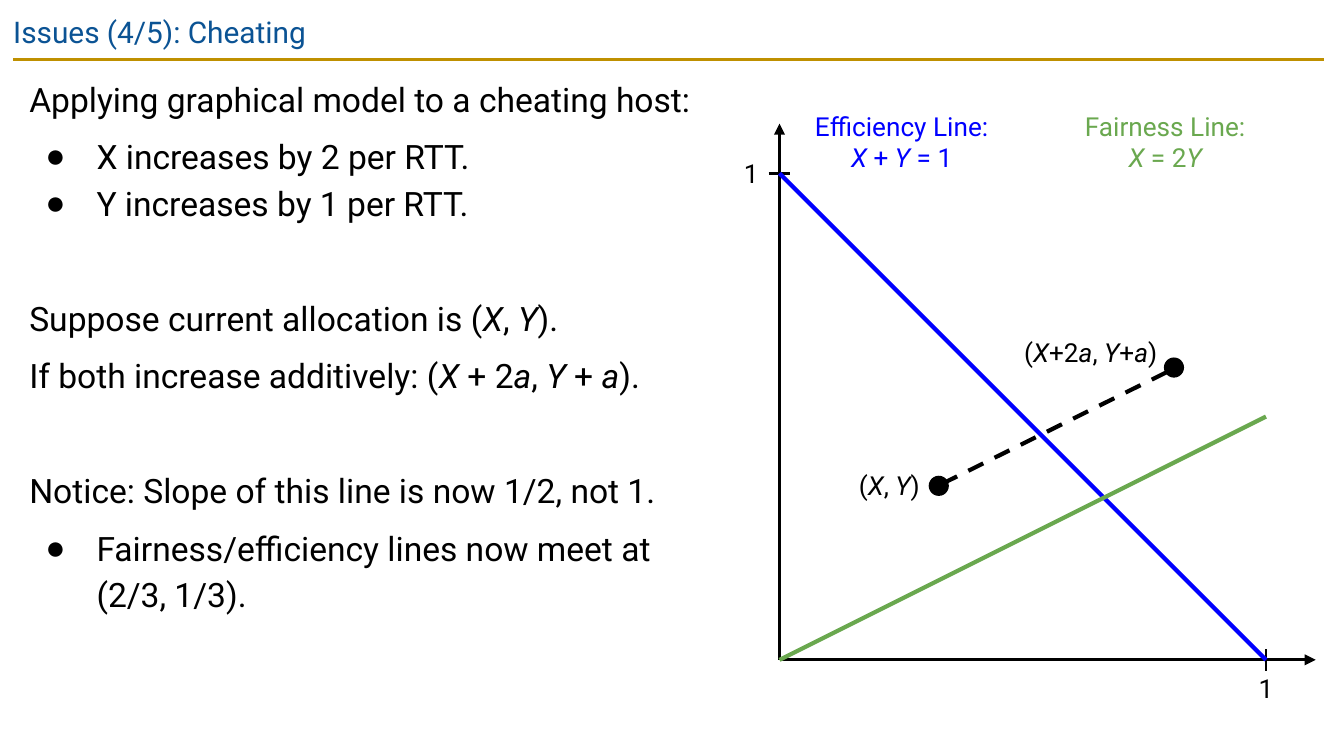
from lxml import etree
from pptx import Presentation
from pptx.dml.color import RGBColor
from pptx.enum.dml import MSO_LINE
from pptx.enum.shapes import MSO_CONNECTOR, MSO_SHAPE
from pptx.enum.text import PP_ALIGN
from pptx.oxml.ns import qn
from pptx.util import Inches, Pt

LEFT, CENTER = PP_ALIGN.LEFT, PP_ALIGN.CENTER
STRAIGHT, OVAL, DASH = MSO_CONNECTOR.STRAIGHT, MSO_SHAPE.OVAL, MSO_LINE.DASH
HUES = {"black": "000000", "gold": "BF9000", "navy": "0B5394",
        "blue": "0000FF", "green": "6AA84F"}
FONT = "Roboto"

deck = Presentation()
deck.slide_width = Inches(10)
deck.slide_height = Inches(10) * 9 // 16
slide = deck.slides.add_slide(deck.slide_layouts[6])
shapes = slide.shapes


def add_text(x, y, w, h, rows, size, hue="black", inset=0, align=LEFT):
    frame = shapes.add_textbox(Inches(x), Inches(y), Inches(w), Inches(h)).text_frame
    frame.word_wrap = True
    frame.margin_left = frame.margin_right = Inches(inset)
    frame.margin_top = frame.margin_bottom = Inches(inset)
    for i, row in enumerate(rows):
        par = frame.paragraphs[0] if i == 0 else frame.add_paragraph()
        par.alignment = align
        for j, part in enumerate(row.split("*")):
            if part:
                run = par.add_run()
                run.text = part
                run.font.name, run.font.size = FONT, Pt(size)
                run.font.italic = j % 2 == 1
                run.font.color.rgb = RGBColor.from_string(HUES[hue])
    return frame


def add_line(start, end, hue="black", width=1.5, arrow=False):
    line = shapes.add_connector(STRAIGHT, *[Inches(v) for v in (*start, *end)])
    line.line.color.rgb = RGBColor.from_string(HUES[hue])
    line.line.width = Pt(width)
    props = line._element.spPr
    if arrow:
        etree.SubElement(props.find(qn("a:ln")), qn("a:tailEnd"), type="triangle")
    etree.SubElement(props, qn("a:effectLst"))
    return line


add_line((0.1, 0.44), (9.85, 0.44), "gold")
add_text(0, 0, 9.32, 0.43, ["Issues (4/5): Cheating"], 16, "navy", 0.1)

points = [
    ("Applying graphical model to a cheating host:", 0, False),
    ("X increases by 2 per RTT.", 6, True),
    ("Y increases by 1 per RTT.", 0, True),
    ("Suppose current allocation is (*X*, *Y*).", 36.8, False),
    ("If both increase additively: (*X *+ 2*a*, *Y *+ *a*).", 6, False),
    ("Notice: Slope of this line is now 1/2, not 1.", 36.8, False),
    ("Fairness/efficiency lines now meet at (2/3, 1/3).", 6, True),
]
body = add_text(0.12, 0.44, 5.17, 4.95, [text for text, _, _ in points], 18, inset=0.1)
for par, (_, gap, mark) in zip(body.paragraphs, points):
    par.line_spacing = 1.15
    par.space_before = Pt(gap)
    if mark:
        props = par._p.get_or_add_pPr()
        props.set("marL", str(Inches(0.5)))
        props.set("indent", str(Inches(-0.38)))
        tint = etree.SubElement(props, qn("a:buClr"))
        etree.SubElement(tint, qn("a:srgbClr"), val=HUES["black"])
        etree.SubElement(props, qn("a:buFont"), typeface="Arial")
        etree.SubElement(props, qn("a:buChar"), char="●")

left, base, unit, tick = 5.8, 4.91, 3.62, 0.08
right, top = left + unit, base - unit
add_line((left, base), (left, 0.92), arrow=True)
add_line((left - tick, top), (left + tick, top))
add_line((left, base), (9.79, base), arrow=True)
add_line((right, base - tick), (right, base + tick))
for x, y in [(5.46, 1.17), (9.29, 5)]:
    add_text(x, y, 0.26, 0.24, ["1"], 14, align=CENTER)

add_line((left, top), (right, base), "blue", 2.25)
add_line((left, base), (right, base - unit / 2), "green", 2.25)
for x, hue, rows in [
    (8.02, "green", ["Fairness Line:", "*X* = 2*Y*"]),
    (6.06, "blue", ["Efficiency Line:", "*X* + *Y* = 1"]),
]:
    add_text(x, 0.82, 1.3, 0.47, rows, 14, hue, align=CENTER)

add_text(6.39, 3.49, 0.49, 0.24, ["(*X*, *Y*)"], 14)
add_text(7.62, 2.5, 0.99, 0.24, ["(*X*+2*a*, *Y*+*a*)"], 14, align=CENTER)
for x, y in [(6.91, 3.54), (8.66, 2.66)]:
    dot = shapes.add_shape(OVAL, Inches(x), Inches(y), Inches(0.15), Inches(0.15))
    dot.shadow.inherit = False
    dot.fill.solid()
    dot.fill.fore_color.rgb = RGBColor.from_string(HUES["black"])
    dot.line.fill.background()
trend = add_line((7.01, 3.6), (8.74, 2.74), width=2.25)
trend.line.dash_style = DASH

deck.save("out.pptx")
